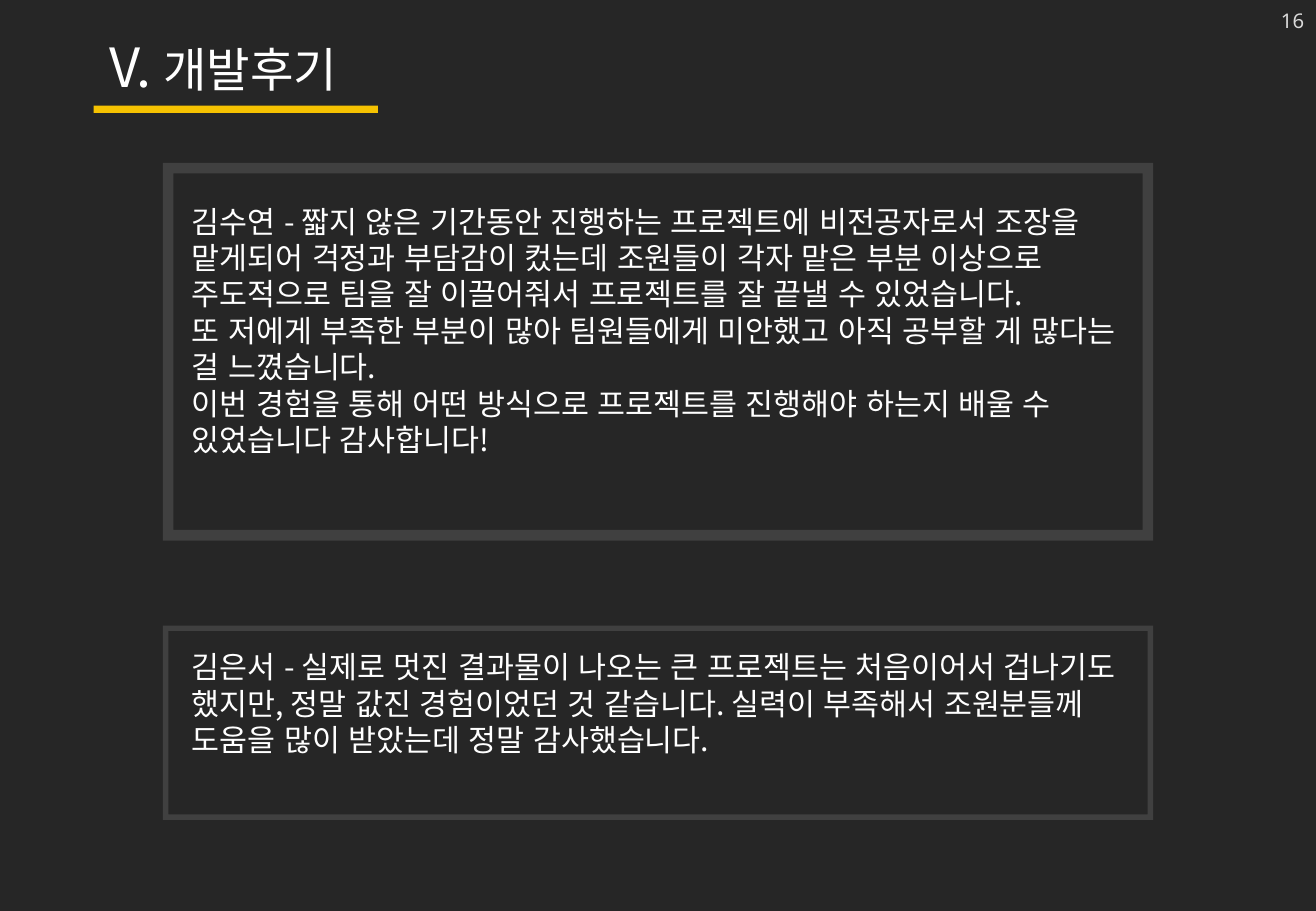
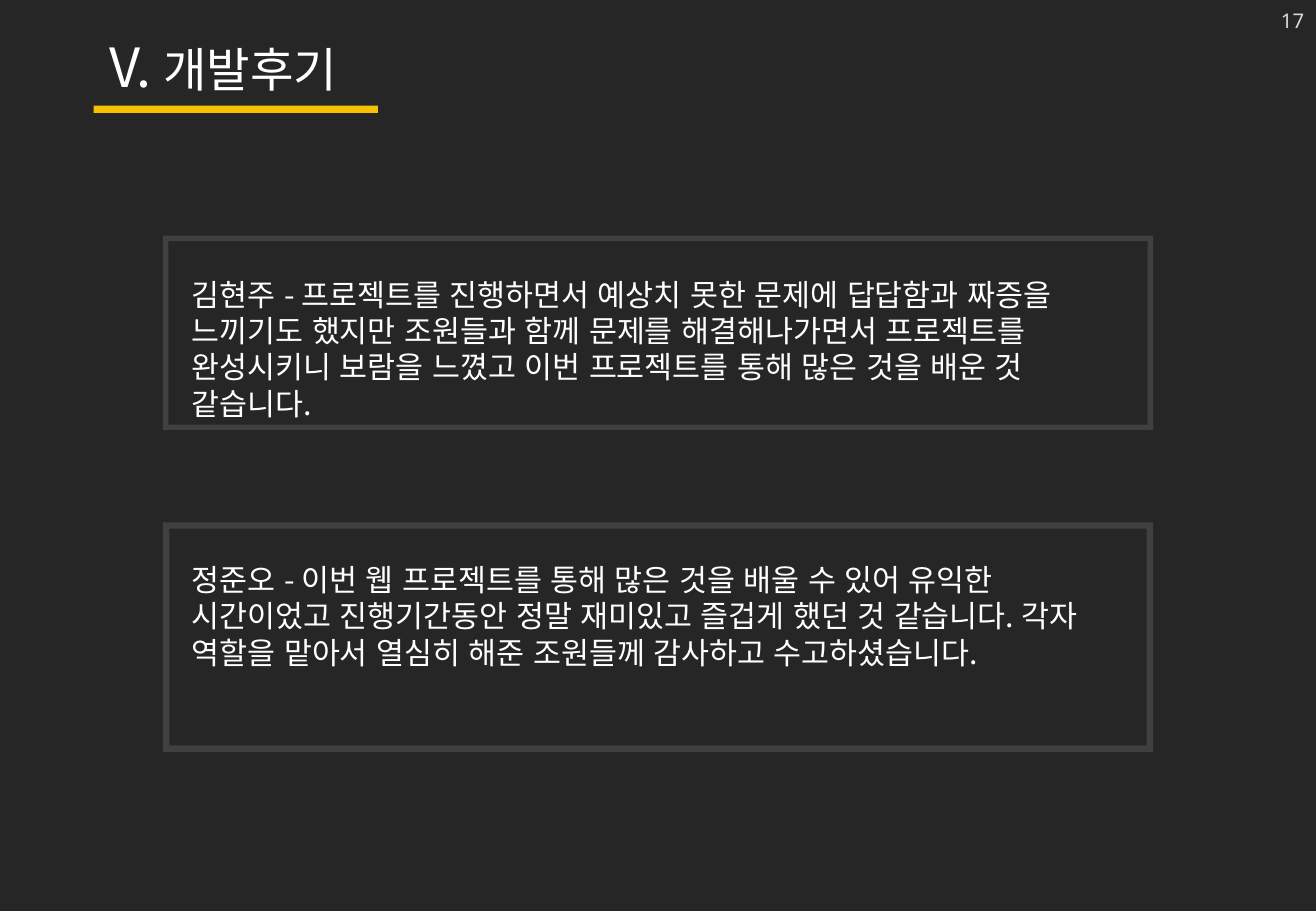
from dataclasses import dataclass

from lxml.etree import SubElement
from pptx import Presentation
from pptx.dml.color import RGBColor
from pptx.enum.lang import MSO_LANGUAGE_ID
from pptx.enum.shapes import MSO_SHAPE
from pptx.enum.text import MSO_ANCHOR, PP_ALIGN
from pptx.oxml.ns import qn
from pptx.slide import Slide
from pptx.text.text import TextFrame, _Run
from pptx.util import Inches, Pt


@dataclass(frozen=True)
class Theme:
    back: str = "262626"
    edge: str = "404040"
    gold: str = "F5C201"
    white: str = "FFFFFF"
    pale: str = "D9D9D9"
    sans: str = "Noto Sans"
    hangul: str = "Noto Sans CJK KR"
    mark: int = 32
    head: int = 28
    body: int = 18
    small: int = 12
    pitch: float = 21.6


@dataclass(frozen=True)
class Note:
    top: float
    high: float
    text_top: float
    text_high: float
    text: str


@dataclass(frozen=True)
class Page:
    number: int
    notes: tuple[Note, ...]


THEME = Theme()
PAGES = (
    Page(16, (
        Note(1.34, 3.11, 1.62, 2.53,
             "김수연 - 짧지 않은 기간동안 진행하는 프로젝트에 비전공자로서 조장을 맡게되어 "
             "걱정과 부담감이 컸는데 조원들이 각자 맡은 부분 이상으로 주도적으로 팀을 잘 "
             "이끌어줘서 프로젝트를 잘 끝낼 수 있었습니다.\n"
             "또 저에게 부족한 부분이 많아 팀원들에게 미안했고 아직 공부할 게 많다는 걸 느꼈습니다.\n"
             "이번 경험을 통해 어떤 방식으로 프로젝트를 진행해야 하는지 배울 수 있었습니다 감사합니다!"),
        Note(5.15, 1.6, 5.29, 1.01,
             "김은서 - 실제로 멋진 결과물이 나오는 큰 프로젝트는 처음이어서 겁나기도 했지만, "
             "정말 값진 경험이었던 것 같습니다. 실력이 부족해서 조원분들께 도움을 많이 받았는데 "
             "정말 감사했습니다."),
    )),
    Page(17, (
        Note(1.94, 1.6, 2.22, 1.31,
             "김현주 - 프로젝트를 진행하면서 예상치 못한 문제에 답답함과 짜증을 느끼기도 했지만 "
             "조원들과 함께 문제를 해결해나가면서 프로젝트를 완성시키니 보람을 느꼈고 "
             "이번 프로젝트를 통해 많은 것을 배운 것 같습니다."),
        Note(4.3, 1.89, 4.57, 1.01,
             "정준오 - 이번 웹 프로젝트를 통해 많은 것을 배울 수 있어 유익한 시간이었고 "
             "진행기간동안 정말 재미있고 즐겁게 했던 것 같습니다. 각자 역할을 맡아서 열심히 "
             "해준 조원들께 감사하고 수고하셨습니다."),
    )),
)


def style(run: _Run, size: int, face: str, color: str) -> None:
    font = run.font
    font.size = Pt(size)
    font.name = face
    font.color.rgb = RGBColor.from_string(color)
    font.language_id = MSO_LANGUAGE_ID.KOREAN
    SubElement(font._element, qn("a:ea")).set("typeface", face)


def add_block(slide: Slide, kind: MSO_SHAPE, left: float, top: float,
              wide: float, high: float, color: str) -> None:
    block = slide.shapes.add_shape(
        kind, Inches(left), Inches(top), Inches(wide), Inches(high))
    block.shadow.inherit = False
    block.fill.solid()
    block.fill.fore_color.rgb = RGBColor.from_string(color)
    block.line.fill.background()
    if kind == MSO_SHAPE.FRAME:
        block.adjustments[0] = 0.028


def add_text(slide: Slide, left: float, top: float, wide: float, high: float,
             text: str, wrap: bool = True) -> TextFrame:
    box = slide.shapes.add_textbox(
        Inches(left), Inches(top), Inches(wide), Inches(high))
    frame = box.text_frame
    frame.word_wrap = wrap
    frame.text = text
    return frame


def add_title(slide: Slide) -> None:
    add_block(slide, MSO_SHAPE.RECTANGLE, 0.77, 0.87, 2.34, 0.06, THEME.gold)
    line = add_text(slide, 0.8, 0.23, 2.2, 0.64, "V. ", False).paragraphs[0]
    name = line.add_run()
    name.text = "개발후기"
    for run, size in zip(line.runs, (THEME.mark, THEME.head)):
        style(run, size, THEME.hangul, THEME.white)


def add_number(slide: Slide, number: int) -> None:
    frame = add_text(slide, 8.05, -0.03, 2.78, 0.4, str(number))
    frame.vertical_anchor = MSO_ANCHOR.MIDDLE
    line = frame.paragraphs[0]
    line.alignment = PP_ALIGN.RIGHT
    style(line.runs[0], THEME.small, THEME.sans, THEME.pale)


def add_note(slide: Slide, note: Note) -> None:
    add_block(slide, MSO_SHAPE.FRAME, 1.34, note.top, 8.15, note.high, THEME.edge)
    frame = add_text(slide, 1.48, note.text_top, 7.87, note.text_high, note.text)
    for line in frame.paragraphs:
        line.line_spacing = Pt(THEME.pitch)
        style(line.runs[0], THEME.body, THEME.hangul, THEME.white)


def main() -> None:
    deck = Presentation()
    deck.slide_width, deck.slide_height = Inches(10.83), Inches(7.5)
    for page in PAGES:
        slide = deck.slides.add_slide(deck.slide_layouts[6])
        slide.background.fill.solid()
        slide.background.fill.fore_color.rgb = RGBColor.from_string(THEME.back)
        add_title(slide)
        add_number(slide, page.number)
        for note in page.notes:
            add_note(slide, note)
    deck.save("out.pptx")


if __name__ == "__main__":
    main()
